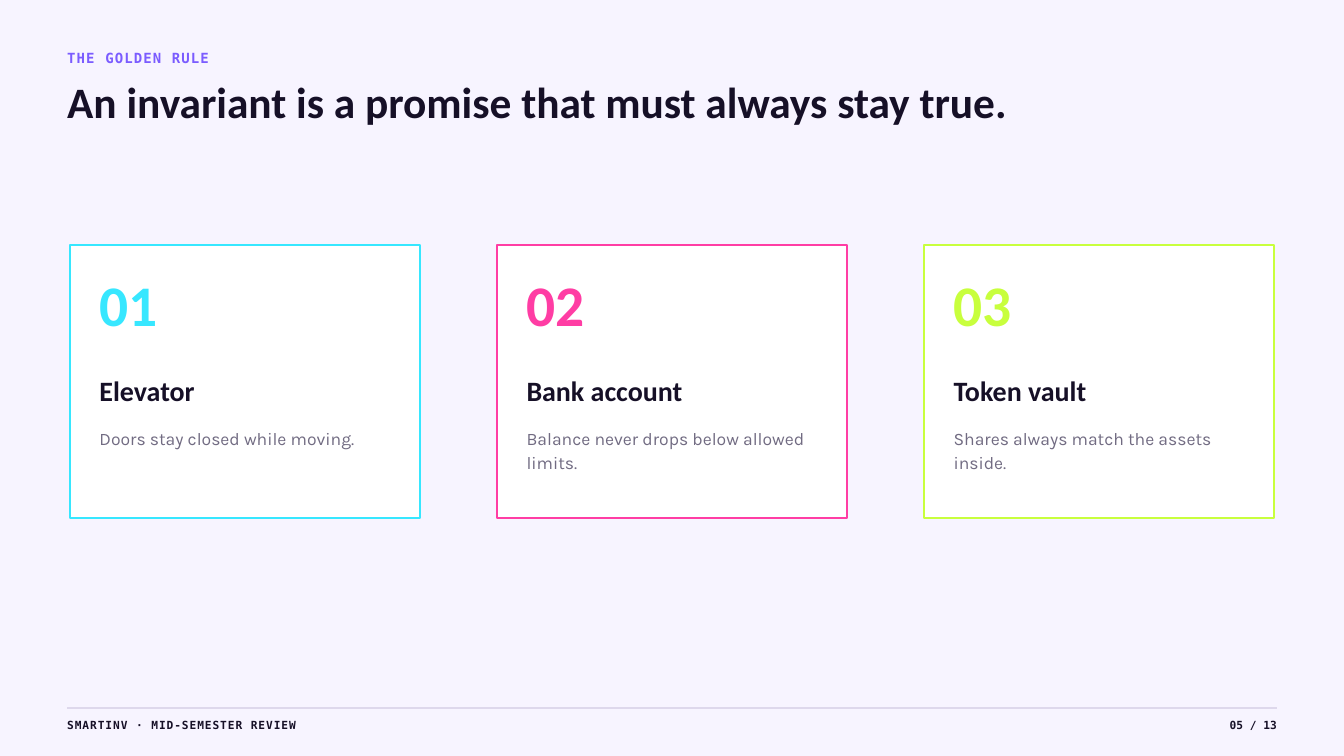
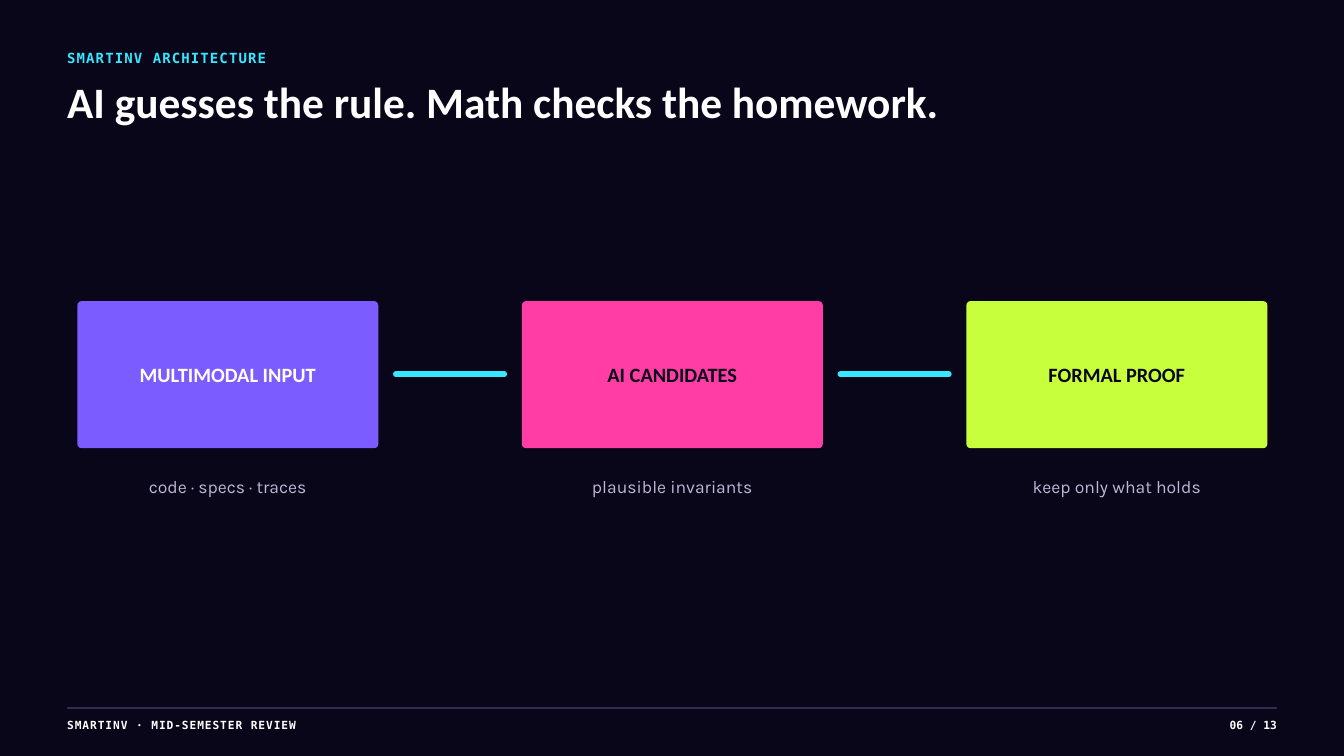
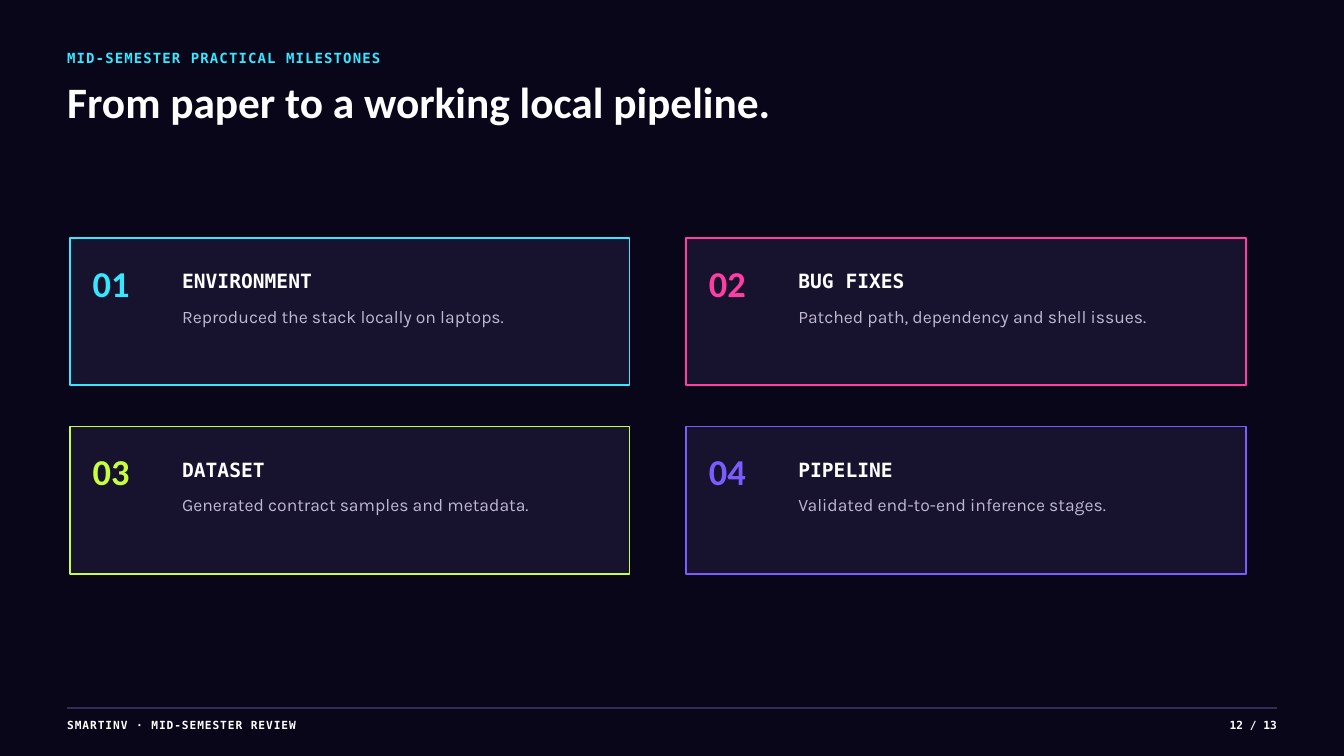
import dataclasses

import lxml.etree
import pptx
import pptx.dml.color
import pptx.enum.shapes
import pptx.enum.text
import pptx.oxml.ns
import pptx.util

Inches = pptx.util.Inches
Pt = pptx.util.Pt
Align = pptx.enum.text.PP_ALIGN
Shape = pptx.enum.shapes.MSO_SHAPE


@dataclasses.dataclass(frozen=True)
class Theme:
    # Accents
    cyan: str = "37E7FF"
    pink: str = "FF3DA4"
    lime: str = "C8FF3D"
    violet: str = "7B5CFF"
    # Surfaces and text
    white: str = "FFFFFF"
    ink: str = "161027"
    night: str = "09061A"
    panel: str = "17122E"
    body_on_light: str = "716B82"
    caption_on_dark: str = "BFB7D3"
    body_on_dark: str = "BFB8D1"
    # Fonts
    heading: str = "Calibri"
    mono: str = "DejaVu Sans Mono"
    body: str = "Karla"
    # Type sizes
    title_size: float = 46.5
    kicker_size: float = 15
    footer_size: float = 12
    big_number_size: float = 61.5
    card_heading_size: float = 30
    stage_size: float = 21.8
    number_size: float = 39
    label_size: float = 21
    body_size: float = 18.8
    body_leading: float = 25.3


@dataclasses.dataclass(frozen=True)
class Mode:
    background: str
    text: str
    kicker: str
    rule: str


THEME = Theme()
LIGHT = Mode("F7F4FF", THEME.ink, THEME.violet, "DED8EC")
DARK = Mode(THEME.night, THEME.white, THEME.cyan, "332A55")


def rgb(color):
    return pptx.dml.color.RGBColor.from_string(color)


def spread(first, last, count):
    """Evenly spaced positions from first to last."""
    return [first + (last - first) * i / (count - 1) for i in range(count)]


# Text
def write_text(frame, text, *, font, size, color, leading, bold=False,
               align=Align.LEFT, tracking=0):
    frame.word_wrap = True
    para = frame.paragraphs[0]
    para.alignment = align
    para.line_spacing = Pt(leading)
    span = para.add_run()
    span.text = text
    span.font.name = font
    span.font.size = Pt(size)
    span.font.bold = bold
    span.font.color.rgb = rgb(color)
    if tracking:
        span.font._element.set("spc", str(round(tracking * 100)))


def add_text(page, left, top, width, height, text, **style):
    box = page.shapes.add_textbox(
        Inches(left), Inches(top), Inches(width), Inches(height))
    frame = box.text_frame
    frame.margin_left = frame.margin_right = 0
    frame.margin_top = frame.margin_bottom = 0
    write_text(frame, text, **style)
    frame.auto_size = pptx.enum.text.MSO_AUTO_SIZE.SHAPE_TO_FIT_TEXT


def add_body(page, left, top, width, height, text, color, align=Align.LEFT):
    add_text(page, left, top, width, height, text, font=THEME.body,
             size=THEME.body_size, color=color, leading=THEME.body_leading,
             align=align)


# Shapes and lines
def add_panel(page, kind, left, top, width, height, fill, outline=None,
              weight=0):
    panel = page.shapes.add_shape(
        kind, Inches(left), Inches(top), Inches(width), Inches(height))
    panel.shadow.inherit = False
    panel.fill.solid()
    panel.fill.fore_color.rgb = rgb(fill)
    if outline:
        panel.line.color.rgb = rgb(outline)
        panel.line.width = Pt(weight)
    else:
        panel.line.fill.background()
    return panel


def add_rule(page, left, right, height, color, weight, round_ends=False):
    rule = page.shapes.add_connector(
        pptx.enum.shapes.MSO_CONNECTOR.STRAIGHT,
        Inches(left), Inches(height), Inches(right), Inches(height))
    rule.line.color.rgb = rgb(color)
    rule.line.width = Pt(weight)
    if round_ends:
        rule.line._get_or_add_ln().set("cap", "rnd")
    lxml.etree.SubElement(
        rule._element.spPr, pptx.oxml.ns.qn("a:effectLst"))


# Background, heading and footer of every page
def add_page(deck, mode, kicker, title, number):
    page = deck.slides.add_slide(deck.slide_layouts[6])
    page.background.fill.solid()
    page.background.fill.fore_color.rgb = rgb(mode.background)
    add_text(page, 1, 0.7, 9.38, 0.28, kicker, font=THEME.mono,
             size=THEME.kicker_size, color=mode.kicker, leading=21,
             bold=True, tracking=1.2)
    add_text(page, 1, 1.22, 16.15, 0.81, title, font=THEME.heading,
             size=THEME.title_size, color=mode.text, leading=48.8, bold=True)
    add_rule(page, 1, 19, 10.54, mode.rule, 2)
    footer = dict(font=THEME.mono, size=THEME.footer_size, color=mode.text,
                  leading=16.8, bold=True)
    add_text(page, 1, 10.66, 7.29, 0.21, "SMARTINV · MID-SEMESTER REVIEW",
             tracking=1, **footer)
    add_text(page, 18.12, 10.66, 0.88, 0.21, f"{number:02} / 13",
             align=Align.RIGHT, **footer)
    return page


# Kinds of element
def add_example_card(page, left, number, heading, promise, accent):
    add_panel(page, Shape.RECTANGLE, left, 3.65, 5.21, 4.06, THEME.white,
              accent, 2.25)
    inner = left + 0.44
    add_text(page, inner, 4.17, 1.25, 1.02, f"{number:02}",
             font=THEME.heading, size=THEME.big_number_size, color=accent,
             leading=61.5, bold=True)
    add_text(page, inner, 5.47, 4.48, 0.6, heading, font=THEME.heading,
             size=THEME.card_heading_size, color=THEME.ink, leading=42,
             bold=True)
    add_body(page, inner, 6.33, 4.48, 0.67, promise, THEME.body_on_light)


def add_stage(page, left, width, name, caption, fill, color):
    stage = add_panel(page, Shape.ROUNDED_RECTANGLE, left, 4.48, width, 2.19,
                      fill)
    stage.adjustments[0] = 0.03
    frame = stage.text_frame
    frame.vertical_anchor = pptx.enum.text.MSO_ANCHOR.MIDDLE
    frame.margin_left = frame.margin_right = frame.margin_top = Inches(0.06)
    frame.margin_bottom = Inches(0.13)
    write_text(frame, name, font=THEME.heading, size=THEME.stage_size,
               color=color, leading=30.4, bold=True, align=Align.CENTER)
    add_body(page, left, 7.05, width, 0.34, caption, THEME.caption_on_dark,
             Align.CENTER)


def add_milestone(page, left, top, number, label, result, accent):
    add_panel(page, Shape.RECTANGLE, left, top, 8.33, 2.19, THEME.panel,
              accent, 1.5)
    add_text(page, left + 0.34, top + 0.23, 1.04, 0.77, f"{number:02}",
             font=THEME.heading, size=THEME.number_size, color=accent,
             leading=54.6, bold=True)
    add_text(page, left + 1.67, top + 0.4, 5.83, 0.39, label,
             font=THEME.mono, size=THEME.label_size, color=THEME.white,
             leading=29.4, bold=True)
    add_body(page, left + 1.67, top + 0.97, 5.83, 0.33, result,
             THEME.body_on_dark)


# Pages
def build_golden_rule(deck):
    page = add_page(deck, LIGHT, "THE GOLDEN RULE",
                    "An invariant is a promise that must always stay true.", 5)
    examples = [
        ("Elevator", "Doors stay closed while moving.", THEME.cyan),
        ("Bank account", "Balance never drops below allowed limits.",
         THEME.pink),
        ("Token vault", "Shares always match the assets inside.", THEME.lime),
    ]
    lefts = spread(1.04, 13.75, len(examples))
    for number, (left, example) in enumerate(zip(lefts, examples), 1):
        add_example_card(page, left, number, *example)


def build_architecture(deck):
    page = add_page(deck, DARK, "SMARTINV ARCHITECTURE",
                    "AI guesses the rule. Math checks the homework.", 6)
    stages = [
        ("MULTIMODAL INPUT", "code · specs · traces", THEME.violet,
         THEME.white),
        ("AI CANDIDATES", "plausible invariants", THEME.pink, THEME.night),
        ("FORMAL PROOF", "keep only what holds", THEME.lime, THEME.night),
    ]
    width, gap = 4.48, 0.26
    lefts = spread(1.15, 14.38, len(stages))
    for left, stage in zip(lefts, stages):
        add_stage(page, left, width, *stage)
    for left, following in zip(lefts, lefts[1:]):
        add_rule(page, left + width + gap, following - gap, 5.57, THEME.cyan,
                 6, round_ends=True)


def build_milestones(deck):
    page = add_page(deck, DARK, "MID-SEMESTER PRACTICAL MILESTONES",
                    "From paper to a working local pipeline.", 12)
    milestones = [
        ("ENVIRONMENT", "Reproduced the stack locally on laptops.",
         THEME.cyan),
        ("BUG FIXES", "Patched path, dependency and shell issues.",
         THEME.pink),
        ("DATASET", "Generated contract samples and metadata.", THEME.lime),
        ("PIPELINE", "Validated end-to-end inference stages.", THEME.violet),
    ]
    for i, milestone in enumerate(milestones):
        row, column = divmod(i, 2)
        add_milestone(page, 1.04 + 9.17 * column, 3.54 + 2.81 * row, i + 1,
                      *milestone)


def main():
    deck = pptx.Presentation()
    deck.slide_width = Inches(20)
    deck.slide_height = Inches(11.25)
    build_golden_rule(deck)
    build_architecture(deck)
    build_milestones(deck)
    deck.save("out.pptx")


if __name__ == "__main__":
    main()
